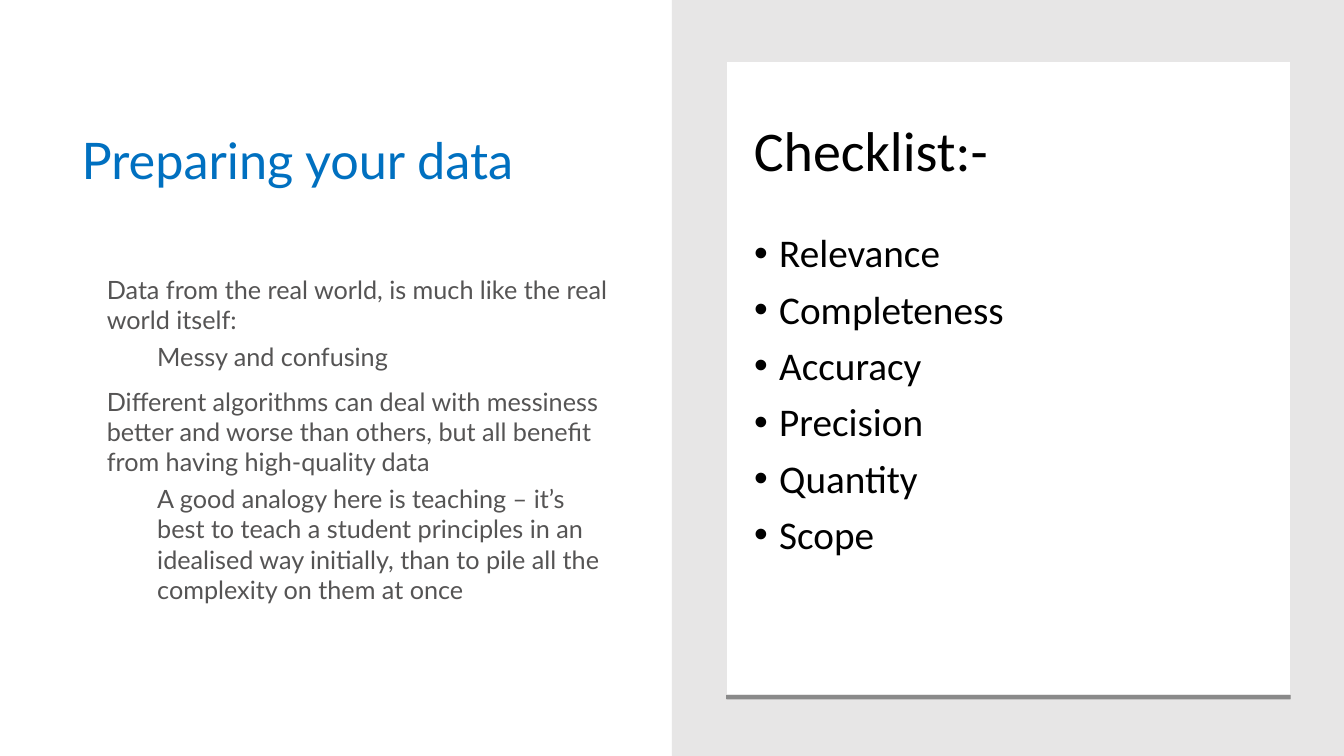
"""Build the slide on preparing data, with a checklist card."""
from lxml.etree import SubElement
from pptx import Presentation
from pptx.dml.color import RGBColor
from pptx.enum.shapes import MSO_SHAPE
from pptx.enum.text import MSO_ANCHOR, MSO_AUTO_SIZE, PP_ALIGN
from pptx.oxml.ns import qn
from pptx.util import Pt

TITLE = "Preparing your data"
EXPLANATION = [
    (0, "Data from the real world, is much like the real world itself:"),
    (1, "Messy and confusing"),
    (0, "Different algorithms can deal with messiness better and worse than others, "
        "but all benefit from having high-quality data"),
    (1, "A good analogy here is teaching – it’s best to teach a student principles in an "
        "idealised way initially, than to pile all the complexity on them at once"),
]
HEADING = "Checklist:-"
CHECKLIST = ["Relevance", "Completeness", "Accuracy", "Precision", "Quantity", "Scope"]

WHITE = RGBColor(0xFF, 0xFF, 0xFF)
BLACK = RGBColor(0, 0, 0)
GREY = RGBColor(0xE7, 0xE6, 0xE6)
BLUE = RGBColor(0x00, 0x70, 0xC0)
DARK_GREY = RGBColor(0x55, 0x54, 0x54)

WIDTH, HEIGHT = 960, 540
LEFT_X, RIGHT_X, TEXT_WIDTH = 51.1, 531.4, 390.2
HEADING_HEIGHT, LIST_HEIGHT = 131.8, 297.4
INDENT, LEVEL_STEP = 18, 36


def place(shape, left, top, width, height):
    """Set the position and size in points."""
    shape.left, shape.top = Pt(left), Pt(top)
    shape.width, shape.height = Pt(width), Pt(height)


def add_panel(slide, layer, kind, bounds, fill):
    """Add a filled panel behind the text, at the given layer."""
    panel = slide.shapes.add_shape(kind, *map(Pt, bounds))
    panel.shadow.inherit = False
    panel.fill.solid()
    panel.fill.fore_color.rgb = fill
    panel.line.fill.background()
    panel._element.getparent().insert(2 + layer, panel._element)
    return panel


def add_bottom_shadow(panel):
    """Give the panel a hard shadow just below it."""
    effects = panel._element.spPr.find(qn("a:effectLst"))
    shadow = SubElement(effects, qn("a:outerShdw"), blurRad="0", dist=str(Pt(3)),
                        dir="5400000", algn="t", rotWithShape="0")
    color = SubElement(shadow, qn("a:srgbClr"), val="000000")
    SubElement(color, qn("a:alpha"), val="40000")


def fill_text(box, lines, font, size, color, anchor=MSO_ANCHOR.TOP, spacing=0.9):
    """Write the lines as paragraphs and format them alike."""
    frame = box.text_frame
    frame.text = "\n".join(lines)
    frame.word_wrap = True
    frame.auto_size = MSO_AUTO_SIZE.NONE
    frame.vertical_anchor = anchor
    for para in frame.paragraphs:
        para.alignment = PP_ALIGN.LEFT
        para.line_spacing = spacing
        para.space_before = Pt(0)
        for span in para.runs:
            span.font.name = font
            span.font.size = Pt(size)
            span.font.color.rgb = color
    return frame.paragraphs


def format_item(para, level=0, bullet=None):
    """Set the indent, the gap above and the bullet of a list item."""
    para.level = level
    para.space_before = Pt(5 if level else 10)
    properties = para._p.get_or_add_pPr()
    properties.set("marL", str(Pt(INDENT + level * LEVEL_STEP)))
    properties.set("indent", str(Pt(-INDENT if bullet else 0)))
    if bullet:
        SubElement(properties, qn("a:buFont"), typeface="Arial")
        SubElement(properties, qn("a:buChar"), char=bullet)
    else:
        SubElement(properties, qn("a:buNone"))


def main():
    """Build and save the deck."""
    deck = Presentation()
    deck.slide_width, deck.slide_height = Pt(WIDTH), Pt(HEIGHT)
    slide = deck.slides.add_slide(deck.slide_layouts[3])
    title, explanation, checklist = slide.placeholders

    place(title, LEFT_X, 50.4, TEXT_WIDTH, HEADING_HEIGHT)
    fill_text(title, [TITLE], "Lato", 36, BLUE, MSO_ANCHOR.MIDDLE)

    place(explanation, LEFT_X, 192.2, TEXT_WIDTH, LIST_HEIGHT)
    paras = fill_text(explanation, [text for _, text in EXPLANATION],
                      "Lato", 18, DARK_GREY, spacing=1.0)
    for para, (level, _) in zip(paras, EXPLANATION):
        format_item(para, level)

    heading = slide.shapes.add_textbox(Pt(RIGHT_X), Pt(43.9), Pt(TEXT_WIDTH), Pt(HEADING_HEIGHT))
    fill_text(heading, [HEADING], "Calibri", 40, BLACK, MSO_ANCHOR.MIDDLE)

    place(checklist, RIGHT_X, 163.4, TEXT_WIDTH, LIST_HEIGHT)
    for para in fill_text(checklist, CHECKLIST, "Calibri", 28, BLACK):
        format_item(para, bullet="•")

    add_panel(slide, 0, MSO_SHAPE.RECTANGLE, (WIDTH / 2, 0, WIDTH / 2, HEIGHT), GREY)
    card = add_panel(slide, 1, MSO_SHAPE.ROUNDED_RECTANGLE, (519.1, 43.9, 402.5, 452.2), WHITE)
    card.adjustments[0] = 0
    card.line.color.rgb = GREY
    card.line.width = Pt(0.75)
    add_bottom_shadow(card)

    deck.save("out.pptx")


if __name__ == "__main__":
    main()
